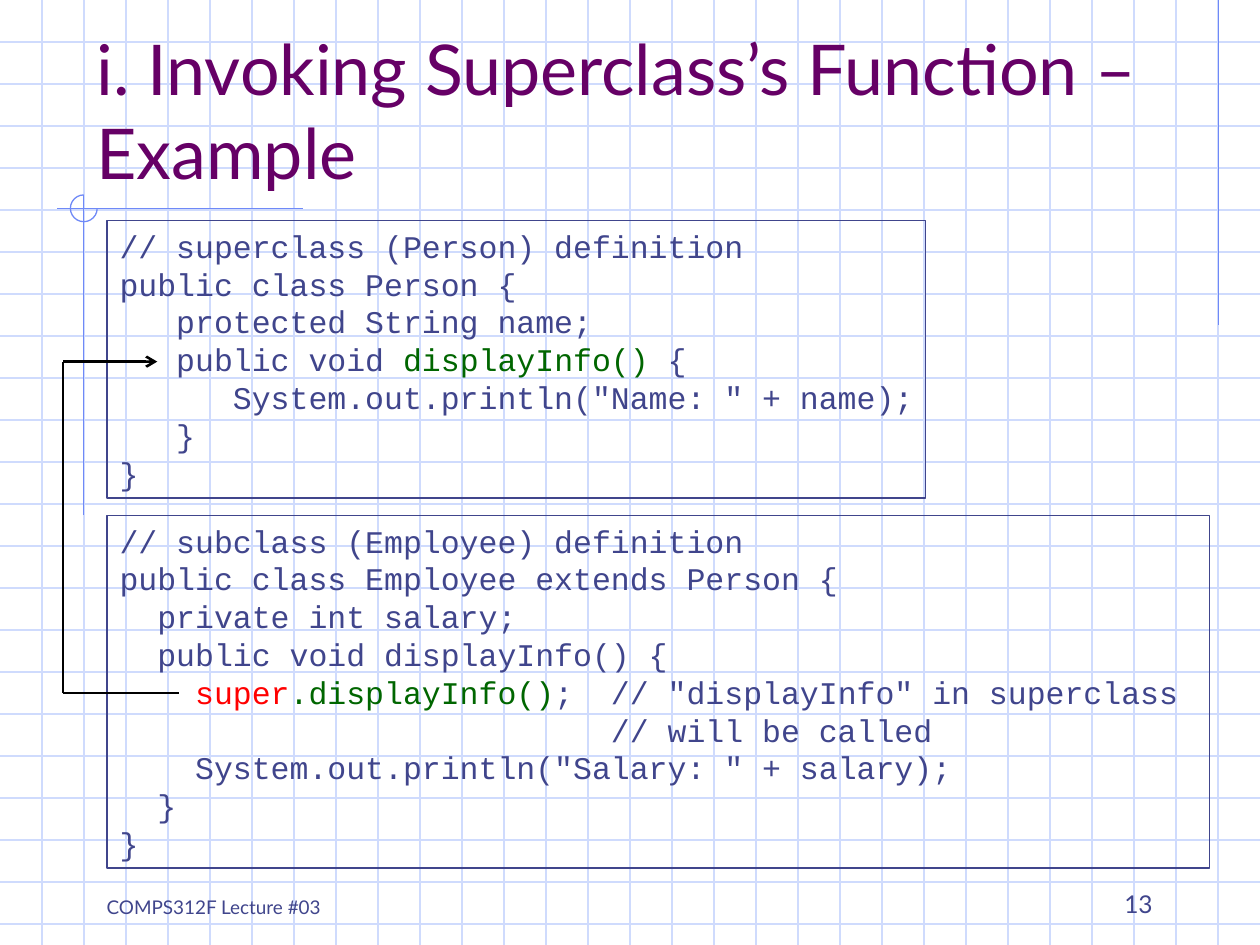
from lxml import etree
from pptx import Presentation
from pptx.dml.color import RGBColor
from pptx.enum.shapes import MSO_CONNECTOR, MSO_SHAPE
from pptx.enum.text import MSO_ANCHOR, MSO_AUTO_SIZE, PP_ALIGN
from pptx.oxml.ns import qn
from pptx.util import Cm, Pt

STRAIGHT = MSO_CONNECTOR.STRAIGHT
RECT, ARC = MSO_SHAPE.RECTANGLE, MSO_SHAPE.ARC
TOP, BOTTOM = MSO_ANCHOR.TOP, MSO_ANCHOR.BOTTOM
LEFT, RIGHT = PP_ALIGN.LEFT, PP_ALIGN.RIGHT
FIXED = MSO_AUTO_SIZE.NONE

PALE = RGBColor(0xCF, 0xDB, 0xFD)
BLUE = RGBColor(0x6F, 0x89, 0xF7)
NAVY = RGBColor(0x40, 0x45, 0x8C)
PLUM = RGBColor(0x66, 0x00, 0x66)
GREEN = RGBColor(0x00, 0x66, 0x00)
RED = RGBColor(0xFF, 0x00, 0x00)
BLACK = RGBColor(0x00, 0x00, 0x00)

WIDE, HIGH = 25.4, 19.05
STEP = 2.54 / 3
CHAR = 0.381

deck = Presentation()
deck.slide_width, deck.slide_height = Cm(WIDE), Cm(HIGH)
slide = deck.slides.add_slide(deck.slide_layouts[5])
shapes = slide.shapes


def add_line(x1, y1, x2, y2, color, width=0.75, arrow=False):
    line = shapes.add_connector(STRAIGHT, Cm(x1), Cm(y1), Cm(x2), Cm(y2))
    line.line.color.rgb = color
    line.line.width = Pt(width)
    if arrow:
        etree.SubElement(line.line._get_or_add_ln(), qn("a:tailEnd"), type="arrow")
    etree.SubElement(line._element.spPr, qn("a:effectLst"))


def put_text(shape, rows, font="Lato", size=18, color=NAVY, align=LEFT,
             anchor=BOTTOM, pitch=None):
    frame = shape.text_frame
    frame.word_wrap = True
    frame.auto_size = FIXED
    frame.vertical_anchor = anchor
    for i, (indent, *parts) in enumerate(rows):
        para = frame.paragraphs[0] if i == 0 else frame.add_paragraph()
        para.alignment = align
        if pitch:
            para.line_spacing = Pt(pitch)
        if indent:
            para._p.get_or_add_pPr().set("marL", str(Cm(indent * CHAR)))
        for part in parts:
            words, tint = part if isinstance(part, tuple) else (part, color)
            run = para.add_run()
            run.text = words
            run.font.name = font
            run.font.size = Pt(size)
            run.font.color.rgb = tint


for n in range(1, 23):
    add_line(0, n * STEP, WIDE, n * STEP, PALE)
for n in range(1, 30):
    add_line(n * STEP, 0, n * STEP, HIGH, PALE)

add_line(24.56, 0, 24.56, 6.55, BLUE)
add_line(6.1, 4.21, 1.14, 4.21, BLUE)
add_line(1.69, 3.93, 1.69, 10.39, BLUE)
arc = shapes.add_shape(ARC, Cm(1.42), Cm(3.93), Cm(0.54), Cm(0.54))
arc.shadow.inherit = False
arc.adjustments[0], arc.adjustments[1] = 0, 162
arc.fill.background()
arc.line.color.rgb = BLUE
arc.line.width = Pt(0.75)

for left, words, size, align in (
    (1.9, "COMPS312F Lecture #03", 10.8, LEFT),
    (18.2, "13", 14, RIGHT),
):
    foot = shapes.add_textbox(Cm(left), Cm(17.36), Cm(5.29), Cm(1.27))
    put_text(foot, [(0, words)], size=size, align=align)

title = shapes.title
title.left, title.top = Cm(1.69), Cm(0.85)
title.width, title.height = Cm(21.59), Cm(3.17)
put_text(title, [(0, "i. Invoking Superclass’s Function – Example")],
         size=40, color=PLUM)
shapes._spTree.append(title._element)

person = [
    (0, "// superclass (Person) definition"),
    (0, "public class Person {"),
    (3, "protected String name;"),
    (3, "public void ", ("displayInfo()", GREEN), " {"),
    (6, 'System.out.println("Name: " + name);'),
    (3, "}"),
    (0, "}"),
]
staff = [
    (0, "// subclass (Employee) definition"),
    (0, "public class Employee extends Person {"),
    (2, "private int salary;"),
    (2, "public void displayInfo() {"),
    (4, ("super", RED), (".displayInfo()", GREEN),
     ';  // "displayInfo" in superclass'),
    (26, "// will be called"),
    (4, 'System.out.println("Salary: " + salary);'),
    (2, "}"),
    (0, "}"),
]
for code, top, width, height in (
    (person, 4.45, 16.5, 5.59),
    (staff, 10.39, 22.23, 7.11),
):
    box = shapes.add_shape(RECT, Cm(2.16), Cm(top), Cm(width), Cm(height))
    box.shadow.inherit = False
    box.fill.background()
    box.line.color.rgb = NAVY
    box.line.width = Pt(0.75)
    box.text_frame.margin_right = 0
    put_text(box, code, font="Courier New", anchor=TOP, pitch=21.6)

add_line(1.27, 7.29, 3.17, 7.29, BLACK, 1.5, arrow=True)
add_line(1.27, 13.97, 3.6, 13.97, BLACK, 1.5)
add_line(1.27, 13.97, 1.27, 7.29, BLACK, 1.5)

deck.save("out.pptx")
